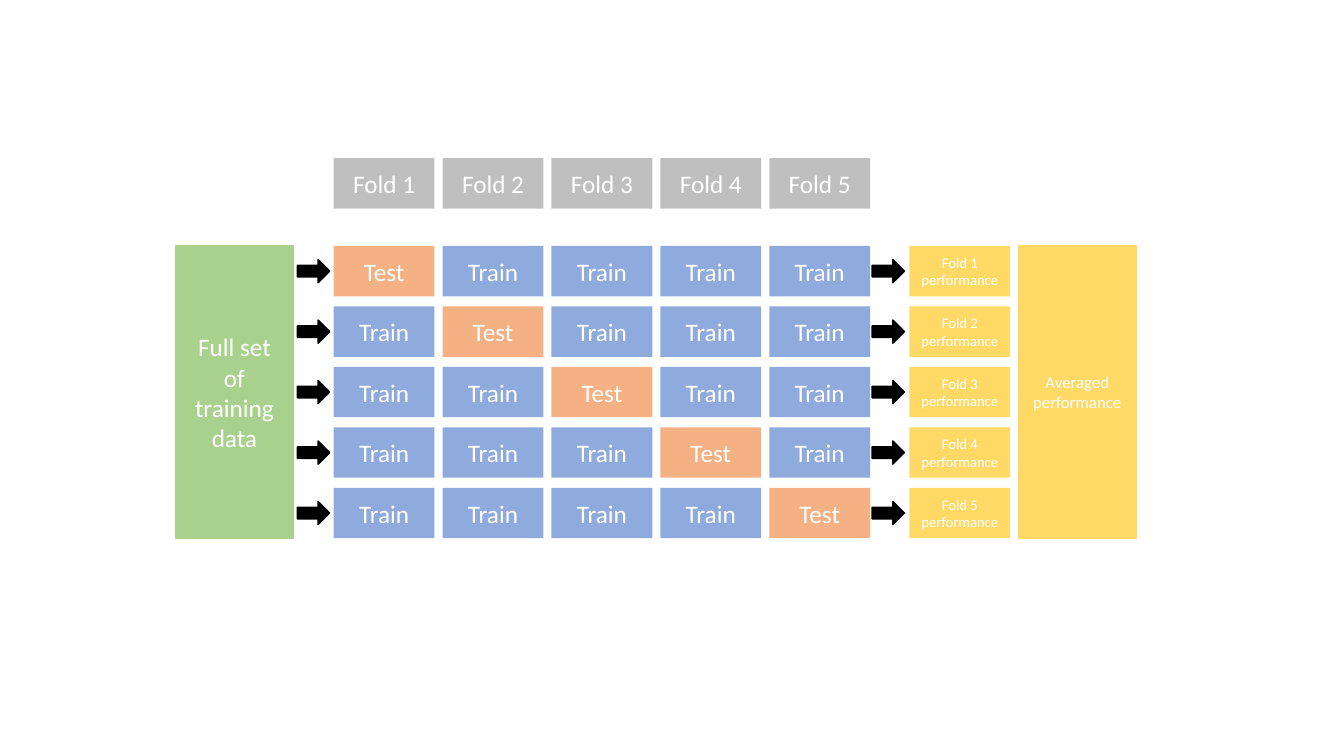
from pptx import Presentation
from pptx.dml.color import RGBColor
from pptx.enum.shapes import MSO_SHAPE as SHAPE
from pptx.enum.text import MSO_ANCHOR as ANCHOR, PP_ALIGN as ALIGN
from pptx.util import Inches, Pt

COLORS = {
    "train": "8FAADC", "test": "F4B183", "fold": "BFBFBF", "data": "A9D18E",
    "performance": "FFD966", "arrow": "000000", "text": "FFFFFF",
}
FONT = "Calibri"

# Grid of folds, in inches
FOLDS = 5
LEFT, TOP = 3.31, 2.44
COL_STEP, ROW_STEP = 1.08, 0.6
CELL_W, CELL_H = 1, 0.5
HEADER_TOP = 1.57
SCORE_LEFT = 9.02
BLOCK_W, BLOCK_H = 1.17, (FOLDS - 1) * ROW_STEP + CELL_H
DATA_LEFT, AVERAGE_LEFT = 1.74, 10.1
ARROW_LEFTS = (2.95, 8.65)
ARROW_W, ARROW_H = 0.32, 0.23


def col_x(col):
    return LEFT + col * COL_STEP


def row_y(row):
    return TOP + row * ROW_STEP


def add_filled(s, kind, x, y, w, h, color, outlined=False):
    sp = s.shapes.add_shape(kind, Inches(x), Inches(y), Inches(w), Inches(h))
    sp.shadow.inherit = False
    rgb = RGBColor.from_string(COLORS[color])
    sp.fill.solid()
    sp.fill.fore_color.rgb = rgb
    if outlined:
        sp.line.color.rgb = rgb
        sp.line.width = Pt(1)
    else:
        sp.line.fill.background()
    return sp


def add_box(s, text, x, y, color, w=CELL_W, h=CELL_H, size=18, outlined=False):
    sp = add_filled(s, SHAPE.RECTANGLE, x, y, w, h, color, outlined)
    tf = sp.text_frame
    tf.word_wrap = True
    tf.vertical_anchor = ANCHOR.MIDDLE
    p = tf.paragraphs[0]
    p.alignment = ALIGN.CENTER
    r = p.add_run()
    r.text = text
    for name, value in {"name": FONT, "size": Pt(size)}.items():
        setattr(r.font, name, value)
    r.font.color.rgb = RGBColor.from_string(COLORS["text"])


def add_block(s, text, x, color, size):
    add_box(s, text, x, TOP, color, BLOCK_W, BLOCK_H, size, outlined=True)


def add_arrow(s, x, row):
    y = row_y(row) + (CELL_H - ARROW_H) / 2
    add_filled(s, SHAPE.RIGHT_ARROW, x, y, ARROW_W, ARROW_H, "arrow", outlined=True)


def main():
    prs = Presentation()
    prs.slide_width, prs.slide_height = Inches(13.33), Inches(7.5)
    s = prs.slides.add_slide(prs.slide_layouts[6])

    # Train and test cells: the test fold moves along the diagonal
    for col in range(FOLDS):
        for row in range(FOLDS):
            role = "Test" if row == col else "Train"
            add_box(s, role, col_x(col), row_y(row), role.lower())

    # Training data on the left, averaged result on the right
    add_block(s, "Full set of training data", DATA_LEFT, "data", 18)
    add_block(s, "Averaged performance", AVERAGE_LEFT, "performance", 12)

    # Fold headers, fold scores and the arrows of each row
    for i in range(FOLDS):
        fold = f"Fold {i + 1}"
        add_box(s, fold, col_x(i), HEADER_TOP, "fold")
        add_box(s, f"{fold} performance", SCORE_LEFT, row_y(i), "performance", size=10.5)
        for x in ARROW_LEFTS:
            add_arrow(s, x, i)

    prs.save("out.pptx")


main()
